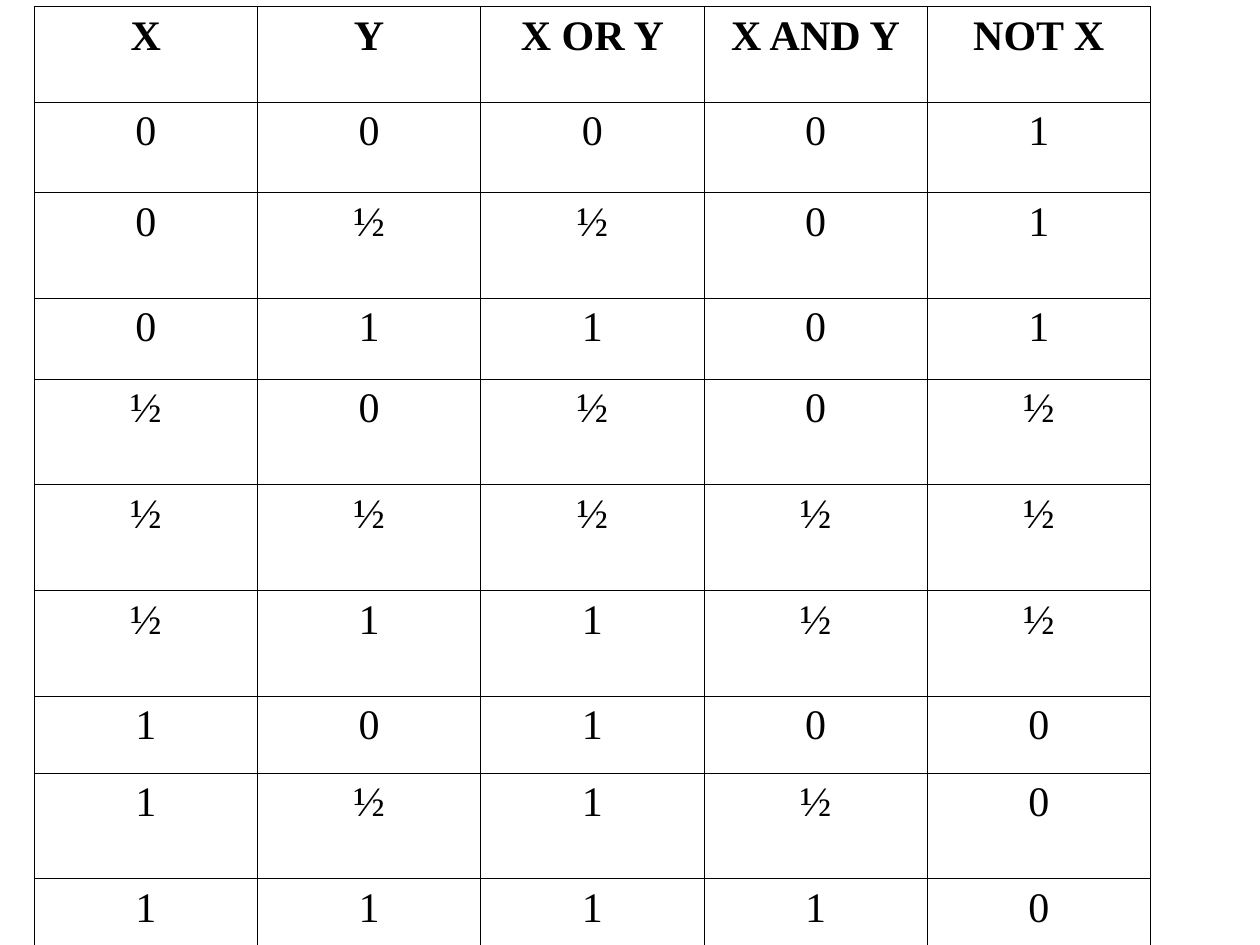
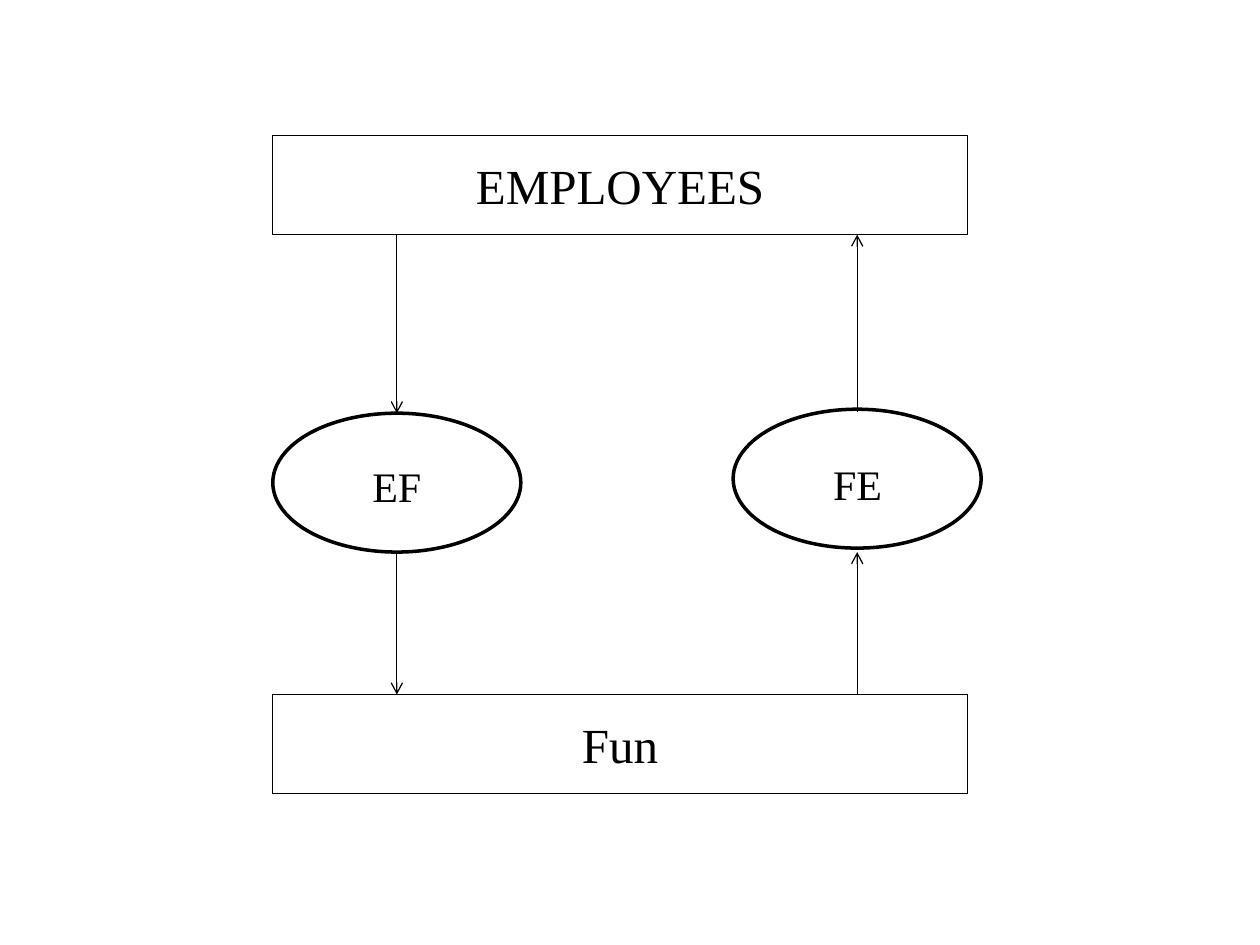
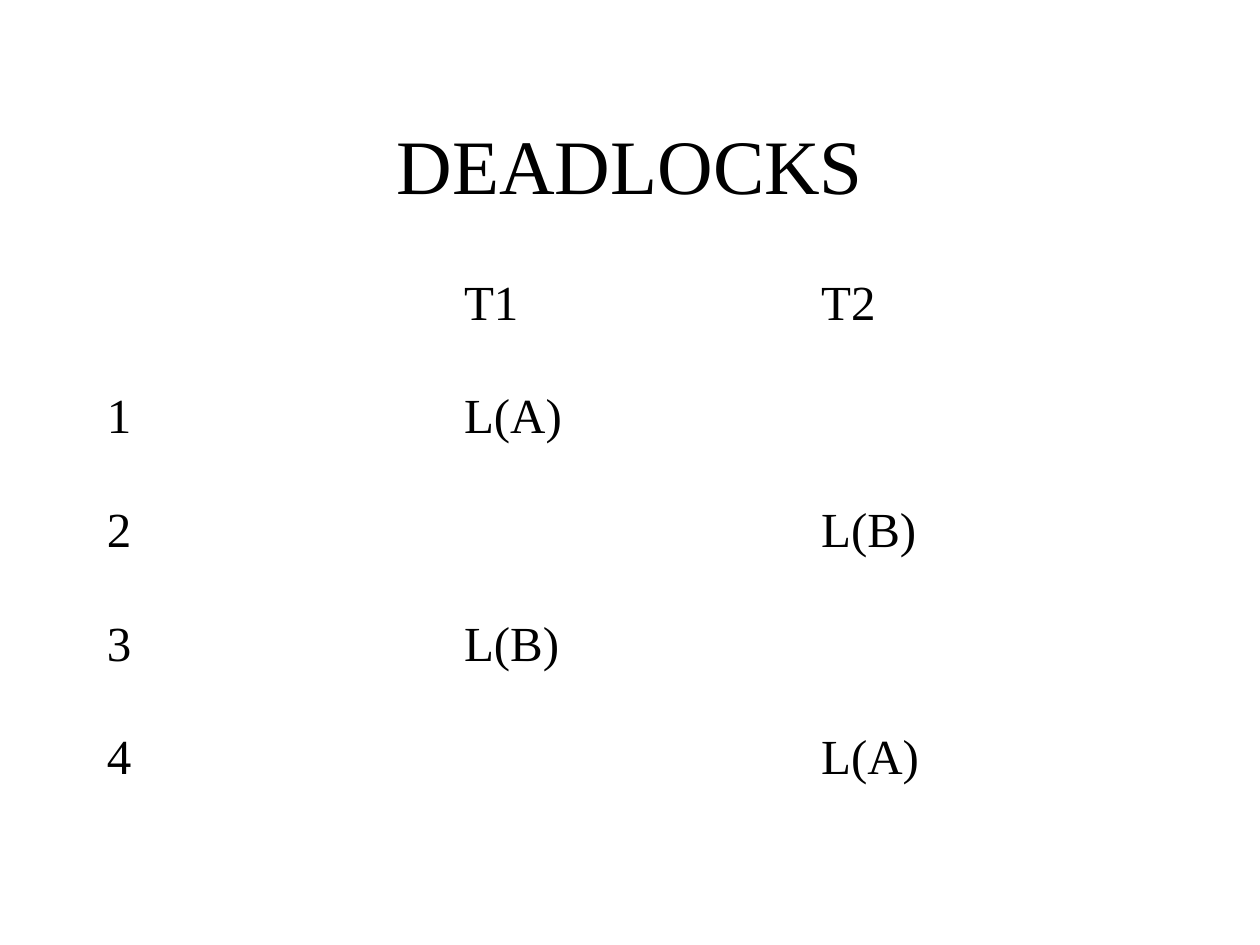
from dataclasses import dataclass
from itertools import product
from typing import Sequence

from lxml import etree
from pptx import Presentation
from pptx.dml.color import RGBColor
from pptx.enum import shapes, text
from pptx.oxml.ns import qn
from pptx.util import Cm, Pt

# Shared look
COLOURS = {"ink": "000000", "paper": "FFFFFF"}
FONT = "Times New Roman"
PLAIN_TABLE_STYLE = "{2D5ABB26-0587-4C30-8999-92F81FD0307C}"
TITLE_ONLY, BLANK = 5, 6
CENTRE, LEFT = text.PP_ALIGN.CENTER, text.PP_ALIGN.LEFT
MIDDLE, TOP = text.MSO_ANCHOR.MIDDLE, text.MSO_ANCHOR.TOP


@dataclass(frozen=True)
class Box:
    """A placed area; lengths in centimetres."""
    left: float
    top: float
    width: float
    height: float

    def area(self) -> tuple:
        return Cm(self.left), Cm(self.top), Cm(self.width), Cm(self.height)


@dataclass(frozen=True)
class Entity:
    label: str
    box: Box


@dataclass(frozen=True)
class Link:
    label: str
    oval: Box
    caption: Box


@dataclass(frozen=True)
class Arrow:
    x: float
    start: float
    end: float


def colour(name: str) -> RGBColor:
    return RGBColor.from_string(COLOURS[name])


def write(frame, words: str, *, size: float, bold: bool = False, align=CENTRE,
          anchor=MIDDLE, before: float = 0, line: float = 1.0) -> None:
    """Fill a text frame with one formatted paragraph."""
    frame.word_wrap = True
    frame.vertical_anchor = anchor
    paragraph = frame.paragraphs[0]
    paragraph.alignment = align
    paragraph.space_before = Pt(before)
    paragraph.line_spacing = line
    run = paragraph.add_run()
    run.text = words
    run.font.name = FONT
    run.font.size = Pt(size)
    run.font.bold = bold
    run.font.color.rgb = colour("ink")


def add_outline(slide, kind, box: Box, weight: float):
    shape = slide.shapes.add_shape(kind, *box.area())
    shape.shadow.inherit = False
    shape.fill.background()
    shape.line.color.rgb = colour("ink")
    shape.line.width = Pt(weight)
    return shape


def add_arrow(slide, arrow: Arrow) -> None:
    connector = slide.shapes.add_connector(
        shapes.MSO_CONNECTOR.STRAIGHT,
        Cm(arrow.x), Cm(arrow.start), Cm(arrow.x), Cm(arrow.end))
    connector.line.color.rgb = colour("ink")
    connector.line.width = Pt(0.75)
    etree.SubElement(connector.line._get_or_add_ln(), qn("a:tailEnd"), type="arrow")
    etree.SubElement(connector._element.spPr, qn("a:effectLst"))


def add_borders(cell, weight: float) -> None:
    properties = cell._tc.get_or_add_tcPr()
    for side in ("lnL", "lnR", "lnT", "lnB"):
        border = etree.SubElement(properties, qn(f"a:{side}"), w=str(Pt(weight)))
        fill = etree.SubElement(border, qn("a:solidFill"))
        etree.SubElement(fill, qn("a:srgbClr"), val=COLOURS["ink"])


def add_grid(slide, rows: Sequence[Sequence[str]], box: Box, heights: Sequence[float],
             *, ruled: bool, bold_header: bool, **style) -> None:
    """Draw a table with equal columns, ruled on white or quite plain."""
    table = slide.shapes.add_table(len(rows), len(rows[0]), *box.area()).table
    table.first_row = table.horz_banding = False
    table._tbl.tblPr.find(qn("a:tableStyleId")).text = PLAIN_TABLE_STYLE
    for column in table.columns:
        column.width = Cm(box.width / len(rows[0]))
    for i, (values, height) in enumerate(zip(rows, heights)):
        table.rows[i].height = Cm(height)
        for j, value in enumerate(values):
            cell = table.cell(i, j)
            if ruled:
                add_borders(cell, 0.45)
                cell.fill.solid()
                cell.fill.fore_color.rgb = colour("paper")
            else:
                cell.fill.background()
            if value:
                write(cell.text_frame, value, bold=bold_header and i == 0,
                      anchor=TOP, **style)


def truth_rows() -> list[list[str]]:
    """Three-valued logic: OR is the maximum, AND the minimum, NOT the complement."""
    marks = "0½1"
    rows = [["X", "Y", "X OR Y", "X AND Y", "NOT X"]]
    for x, y in product(range(3), repeat=2):
        rows.append([marks[v] for v in (x, y, max(x, y), min(x, y), 2 - x)])
    return rows


def add_truth_table(presentation) -> None:
    slide = presentation.slides.add_slide(presentation.slide_layouts[BLANK])
    tall = 2.13
    heights = [1.93, 1.82, tall, 1.63, tall, tall, tall, 1.55, tall, 1.63]
    add_grid(slide, truth_rows(), Box(0.69, 0.13, 22.5, sum(heights)), heights,
             ruled=True, bold_header=True, size=24)


def add_network(presentation) -> None:
    slide = presentation.slides.add_slide(presentation.slide_layouts[BLANK])
    # Record types
    entities = [Entity("Fun", Box(5.5, 14, 14, 2)),
                Entity("EMPLOYEES", Box(5.5, 2.73, 14, 2))]
    # Connecting record types
    links = [Link("EF", Box(5.5, 8.33, 5, 2.8), Box(6.7, 9.15, 2.6, 1.27)),
             Link("FE", Box(14.78, 8.25, 5, 2.8), Box(16.2, 9.12, 2.18, 1.27))]
    for entity in entities:
        shape = add_outline(slide, shapes.MSO_SHAPE.RECTANGLE, entity.box, 0.75)
        write(shape.text_frame, entity.label, size=28)
    for link in links:
        add_outline(slide, shapes.MSO_SHAPE.OVAL, link.oval, 2)
        caption = slide.shapes.add_textbox(*link.caption.area())
        write(caption.text_frame, link.label, size=24)
    # Down on the left, up on the right
    down, up = (link.oval.left + link.oval.width / 2 for link in links)
    for arrow in (Arrow(down, 4.73, 8.33), Arrow(down, 11.13, 14),
                  Arrow(up, 8.3, 4.73), Arrow(up, 14, 11.13)):
        add_arrow(slide, arrow)


def add_deadlocks(presentation) -> None:
    slide = presentation.slides.add_slide(presentation.slide_layouts[TITLE_ONLY])
    title = slide.shapes.title
    title.left, title.top, title.width, title.height = Box(1.9, 1.7, 21.6, 3.18).area()
    title.text_frame.auto_size = text.MSO_AUTO_SIZE.NONE
    write(title.text_frame, "DEADLOCKS", size=44)
    # Locks taken by each transaction, step by step
    rows = [["", "T1", "T2"],
            ["1", "L(A)", ""],
            ["2", "", "L(B)"],
            ["3", "L(B)", ""],
            ["4", "", "L(A)"]]
    height = 2.29
    add_grid(slide, rows, Box(1.9, 5.5, 21.6, height * len(rows)), [height] * len(rows),
             ruled=False, bold_header=False, size=28, align=LEFT, before=7, line=0.95)


def main() -> None:
    presentation = Presentation()
    presentation.slide_width, presentation.slide_height = Cm(25.4), Cm(19.05)
    add_truth_table(presentation)
    add_network(presentation)
    add_deadlocks(presentation)
    presentation.save("out.pptx")


main()
